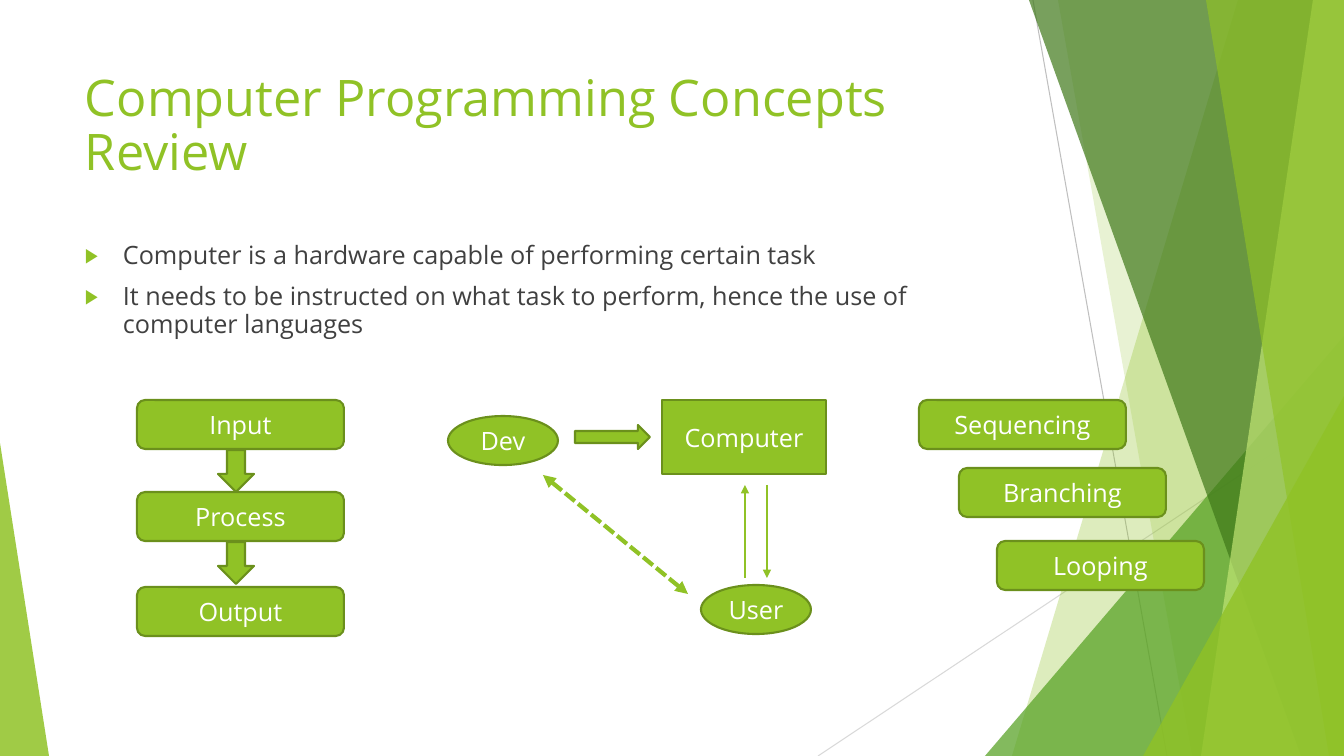
"""Build the slide reviewing computer programming concepts."""
from lxml import etree
from pptx import Presentation
from pptx.dml.color import RGBColor
from pptx.enum.dml import MSO_LINE
from pptx.enum.shapes import MSO_CONNECTOR, MSO_SHAPE
from pptx.enum.text import MSO_ANCHOR, PP_ALIGN
from pptx.oxml.ns import qn
from pptx.util import Pt

PX = 9144000 / 1008
W, H = 1344, 756
FONT = "Open Sans"
C = {"lime": "90C226", "edge": "6B901C", "green": "54A021", "dark": "3F7819",
     "pale": "C0E474", "text": "404040", "white": "FFFFFF",
     "gray": "BFBFBF", "light": "D9D9D9"}
STRAIGHT, DASH = MSO_CONNECTOR.STRAIGHT, MSO_LINE.SQUARE_DOT
TRIANGLE, RECT, OVAL = MSO_SHAPE.ISOSCELES_TRIANGLE, MSO_SHAPE.RECTANGLE, MSO_SHAPE.OVAL
ROUND, DOWN, RIGHT = MSO_SHAPE.ROUNDED_RECTANGLE, MSO_SHAPE.DOWN_ARROW, MSO_SHAPE.RIGHT_ARROW
MIDDLE, CENTER = MSO_ANCHOR.MIDDLE, PP_ALIGN.CENTER


def px(*values):
    return [round(v * PX) for v in values]


def add_line(points, color, width, heads=(), dash=None):
    cn = s.shapes.add_connector(STRAIGHT, *px(*points))
    cn.line.color.rgb = RGBColor.from_string(C[color])
    cn.line.width = Pt(width)
    if dash:
        cn.line.dash_style = dash
    ln = cn.line._get_or_add_ln()
    for end in heads:
        etree.SubElement(ln, qn(f"a:{end}"), type="triangle")
    etree.SubElement(cn._element.spPr, qn("a:effectLst"))


prs = Presentation()
prs.slide_width, prs.slide_height = px(W, H)
s = prs.slides.add_slide(prs.slide_layouts[6])

add_line((1033, 0, 1167, H), "gray", 0.75)
add_line((W, 406, 818, H), "light", 0.75)

facets = [
    ((1238, 1012), "lime", 30),
    ((1058, 1192), "lime", 20),
    ((985, 336, 359, 420, 1), "green", 72),
    ((1029, 1301), "dark", 70),
    ((1313, 1201), "pale", 70),
    ((1206, 1329), "lime", 65),
    ((1143, 396, 201, 360, 1), "lime", 80),
    ((0, 443, 49, 313, 0), "lime", 85),
]
for geometry, color, alpha in facets:
    if len(geometry) == 2:
        top_x, bottom_x = geometry
        fb = s.shapes.build_freeform(top_x, 0, scale=PX)
        fb.add_line_segments([(W, 0), (W, H), (bottom_x, H)])
        sp = fb.convert_to_shape()
    else:
        *box, apex = geometry
        sp = s.shapes.add_shape(TRIANGLE, *px(*box))
        sp.adjustments[0] = apex
    sp.shadow.inherit = False
    sp.fill.solid()
    sp.fill.fore_color.rgb = RGBColor.from_string(C[color])
    sp.line.fill.background()
    clr = sp._element.spPr.find(qn("a:solidFill"))[0]
    etree.SubElement(clr, qn("a:alpha"), val=str(alpha * 1000))

bullets = ["Computer is a hardware capable of performing certain task",
           "It needs to be instructed on what task to perform, hence the use of computer languages"]
texts = [((75, 68, 948, 145), 36, "lime", ["Computer Programming Concepts Review"], False),
         ((75, 238, 948, 427), 18, "text", bullets, True)]
for box, size, color, lines, bulleted in texts:
    tf = s.shapes.add_textbox(*px(*box)).text_frame
    tf.word_wrap = True
    tf.text = "\n".join(lines)
    for p in tf.paragraphs:
        p.line_spacing = 0.9
        p.font.name, p.font.size = FONT, Pt(size)
        p.font.color.rgb = RGBColor.from_string(C[color])
        if bulleted:
            p.space_before = Pt(10)
            pPr = p._p.get_or_add_pPr()
            indent = px(38)[0]
            pPr.set("marL", str(indent))
            pPr.set("indent", str(-indent))
            marks = [etree.Element(qn("a:buClr")),
                     etree.Element(qn("a:buSzPct"), val="80000"),
                     etree.Element(qn("a:buFont"), typeface=FONT),
                     etree.Element(qn("a:buChar"), char="\u25b6")]
            etree.SubElement(marks[0], qn("a:srgbClr"), val=C["lime"])
            for mark in marks:
                pPr.find(qn("a:defRPr")).addprevious(mark)

nodes = [
    (ROUND, 137, 400, 207, 49, "Input"),
    (ROUND, 137, 492, 207, 49, "Process"),
    (ROUND, 137, 587, 207, 49, "Output"),
    (DOWN, 218, 450, 36, 42, ""),
    (DOWN, 218, 542, 36, 42, ""),
    (RECT, 662, 400, 164, 74, "Computer"),
    (OVAL, 448, 416, 110, 49, "Dev"),
    (OVAL, 701, 585, 110, 49, "User"),
    (RIGHT, 575, 425, 75, 24, ""),
    (ROUND, 919, 400, 207, 49, "Sequencing"),
    (ROUND, 959, 468, 207, 49, "Branching"),
    (ROUND, 997, 541, 207, 49, "Looping"),
]
for kind, *box, label in nodes:
    sp = s.shapes.add_shape(kind, *px(*box))
    sp.shadow.inherit = False
    sp.fill.solid()
    sp.fill.fore_color.rgb = RGBColor.from_string(C["lime"])
    sp.line.color.rgb = RGBColor.from_string(C["edge"])
    sp.line.width = Pt(1.5)
    if label:
        tf = sp.text_frame
        tf.vertical_anchor = MIDDLE
        tf.text = label
        p = tf.paragraphs[0]
        p.alignment = CENTER
        p.font.name, p.font.size = FONT, Pt(18)
        p.font.color.rgb = RGBColor.from_string(C["white"])

add_line((745, 578, 745, 485), "lime", 1.5, ["tailEnd"])
add_line((767, 485, 767, 578), "lime", 1.5, ["tailEnd"])
add_line((688, 594, 543, 475), "lime", 3, ["headEnd", "tailEnd"], DASH)

prs.save("out.pptx")
